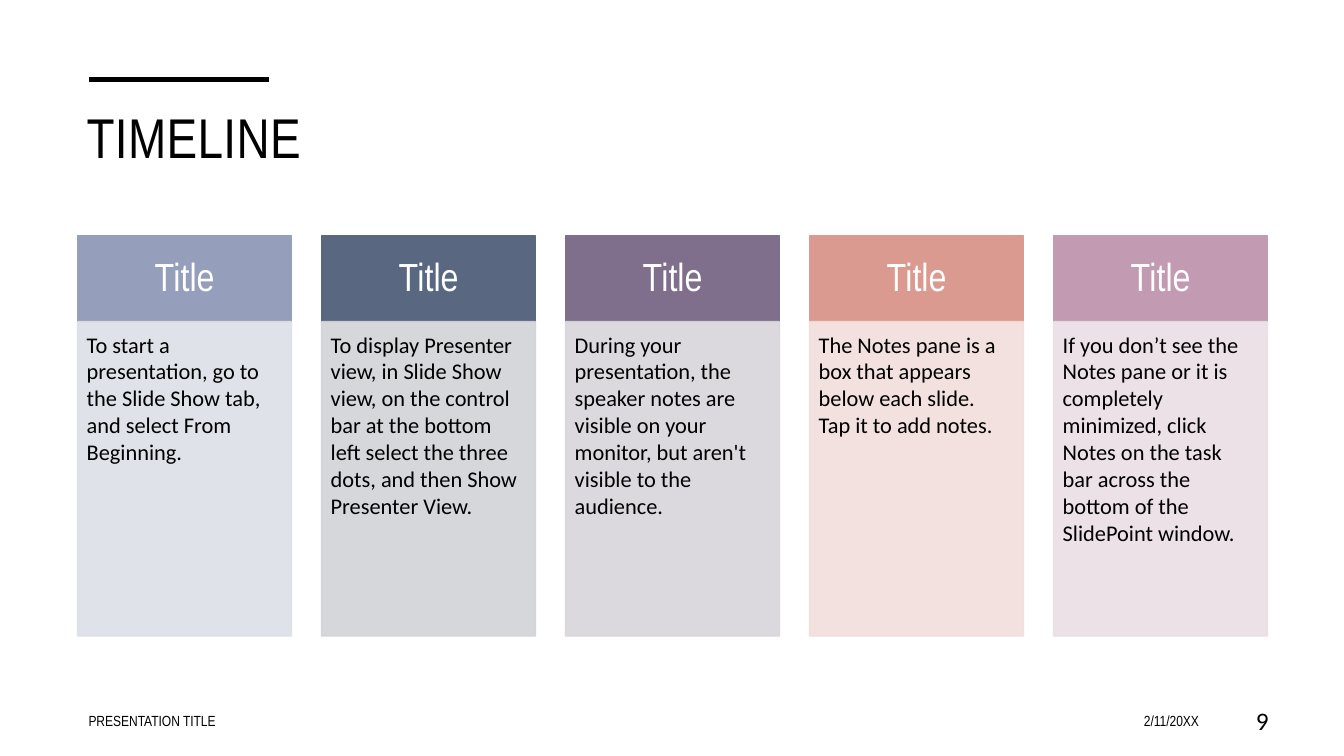
import pptx
import pptx.util
import pptx.oxml.ns
import pptx.dml.color
import pptx.enum.shapes
import pptx.enum.text
import lxml.etree

Inches = pptx.util.Inches
Pt = pptx.util.Pt
ALIGN = pptx.enum.text.PP_ALIGN
ANCHOR = pptx.enum.text.MSO_ANCHOR
qn = pptx.oxml.ns.qn


def color(value):
    return pptx.dml.color.RGBColor.from_string(value)


def write(box, text, size, font="Arial Narrow", ink="000000", align=ALIGN.LEFT,
          anchor=ANCHOR.MIDDLE, insets=(0.1, 0.05, 0.1, 0.05), line_spacing=1.0):
    """Fill a box with one formatted paragraph; insets are left, top, right, bottom."""
    frame = box.text_frame
    frame.word_wrap = True
    frame.vertical_anchor = anchor
    frame.margin_left, frame.margin_top, frame.margin_right, frame.margin_bottom = map(Inches, insets)
    para = frame.paragraphs[0]
    para.alignment = align
    para.line_spacing = line_spacing
    span = para.add_run()
    span.text = text
    span.font.size = Pt(size)
    span.font.name = font
    span.font.color.rgb = color(ink)
    return span


deck = pptx.Presentation()
deck.slide_width = Inches(13.33)
deck.slide_height = Inches(7.5)
page = deck.slides.add_slide(deck.slide_layouts[6])

# Heading with its accent rule
rule = page.shapes.add_connector(pptx.enum.shapes.MSO_CONNECTOR.STRAIGHT,
                                 Inches(0.88), Inches(0.79), Inches(2.67), Inches(0.79))
rule.line.color.rgb = color("000000")
rule.line.width = Pt(3.5)
lxml.etree.SubElement(rule._element.spPr, qn("a:effectLst"))

heading = page.shapes.add_textbox(Inches(0.76), Inches(0.97), Inches(11.81), Inches(1.15))
span = write(heading, "TIMELINE", 40, anchor=ANCHOR.TOP)
span._r.get_or_add_rPr().set("spc", "30")

# Timeline columns: header color, body color, body text
columns = [
    ("959EBB", "DDDFE7", "To start a presentation, go to the Slide Show tab, and select From Beginning."),
    ("596781", "D1D3D8", "To display Presenter view, in Slide Show view, on the control bar at the bottom "
                         "left select the three dots, and then Show Presenter View."),
    ("7F6E8C", "D8D5DA", "During your presentation, the speaker notes are visible on your monitor, "
                         "but aren't visible to the audience."),
    ("DB9A8F", "F1DEDB", "The Notes pane is a box that appears below each slide. Tap it to add notes."),
    ("C29AB1", "E9DEE4", "If you don’t see the Notes pane or it is completely minimized, click Notes "
                         "on the task bar across the bottom of the SlidePoint window."),
]
LEFT, PITCH, WIDTH = 0.77, 2.42, 2.12
HEADER_TOP, HEADER_HEIGHT, BODY_HEIGHT = 2.34, 0.85, 3.12

for index, (header_fill, body_fill, body_text) in enumerate(columns):
    left = LEFT + index * PITCH
    parts = []
    for top, height, fill in ((HEADER_TOP, HEADER_HEIGHT, header_fill),
                              (HEADER_TOP + HEADER_HEIGHT, BODY_HEIGHT, body_fill)):
        box = page.shapes.add_shape(pptx.enum.shapes.MSO_SHAPE.RECTANGLE,
                                    Inches(left), Inches(top), Inches(WIDTH), Inches(height))
        box.shadow.inherit = False
        box.fill.solid()
        box.fill.fore_color.rgb = color(fill)
        box.line.color.rgb = color(fill)
        box.line.width = Pt(1)
        parts.append(box)
    header, body = parts
    write(header, "Title", 28, ink="FFFFFF", align=ALIGN.CENTER,
          insets=(0.22, 0.12, 0.22, 0.12), line_spacing=0.9)
    for tint in body._element.spPr.iter(qn("a:srgbClr")):
        lxml.etree.SubElement(tint, qn("a:alpha")).set("val", "90000")
    write(body, body_text, 16, font="Calibri", anchor=ANCHOR.TOP,
          insets=(0.09, 0.09, 0.12, 0.14))

# Footer
for left, width, text, size, font, align in (
    (0.78, 4.96, "PRESENTATION TITLE", 10.5, "Arial Narrow", ALIGN.LEFT),
    (9.15, 2.84, "2/11/20XX", 10.5, "Arial Narrow", ALIGN.RIGHT),
    (11.94, 0.74, "9", 18, "Calibri", ALIGN.RIGHT),
):
    box = page.shapes.add_textbox(Inches(left), Inches(6.95), Inches(width), Inches(0.4))
    write(box, text, size, font=font, align=align)

deck.save("out.pptx")
